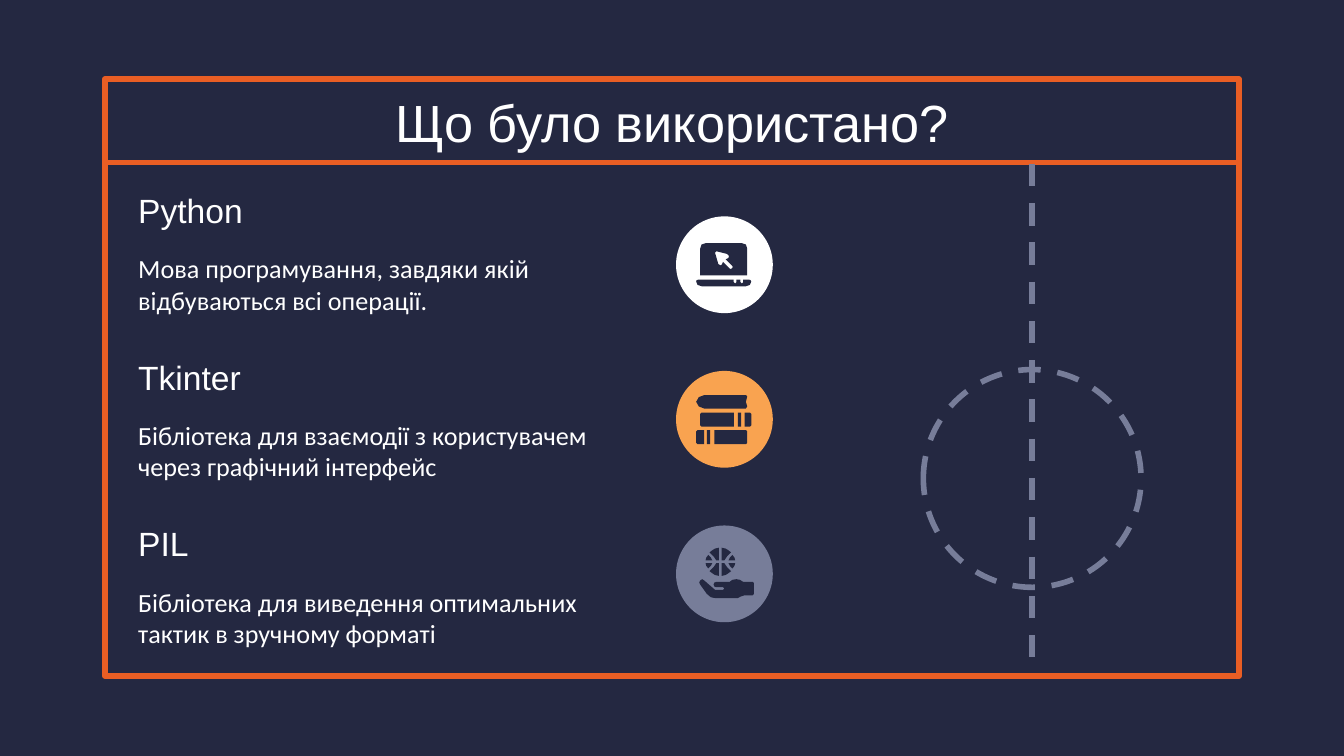
from itertools import product
from lxml.etree import SubElement
from pptx import Presentation
from pptx.dml.color import RGBColor
from pptx.enum.dml import MSO_LINE
from pptx.enum.shapes import MSO_CONNECTOR, MSO_SHAPE
from pptx.enum.text import MSO_ANCHOR, MSO_AUTO_SIZE, PP_ALIGN
from pptx.oxml.ns import qn
from pptx.util import Inches, Pt

NAVY = RGBColor(0x24, 0x28, 0x41)
ORANGE = RGBColor(0xE9, 0x5E, 0x24)
AMBER = RGBColor(0xF9, 0xA3, 0x50)
GREY = RGBColor(0x77, 0x7D, 0x99)
WHITE = RGBColor(0xFF, 0xFF, 0xFF)

FRAME = dict(vertical_anchor=MSO_ANCHOR.MIDDLE, word_wrap=True,
             auto_size=MSO_AUTO_SIZE.NONE)
INSET = {"margin_" + side: Inches(0.1)
         for side in ("left", "right", "top", "bottom")}
TITLE = dict(name="Arial", size=Pt(28), bold=False)
HEAD = dict(name="Arial", size=Pt(18))
BODY = dict(name="Calibri", size=Pt(14))

ITEMS = [
    ("Python", "Мова програмування, завдяки якій відбуваються всі операції.", WHITE),
    ("Tkinter", "Бібліотека для взаємодії з користувачем через графічний інтерфейс", AMBER),
    ("PIL", "Бібліотека для виведення оптимальних тактик в зручному форматі", GREY),
]

SCREEN = [(521, 205), (521, 185), (522, 182), (525, 181), (552, 181),
          (555, 182), (556, 185), (556, 205)]
CURSOR = [(533, 187), (541, 189), (542.5, 190.5), (542, 192), (540, 193),
          (545, 198), (545.3, 199), (544, 200.3), (543, 200), (538, 195),
          (537, 197), (536, 197.5), (534.5, 196.5), (532, 188)]
BASE = [(520, 208), (518.3, 208.5), (518, 209.5), (519, 212), (522, 213),
        (555, 213), (558, 212), (559, 209.5), (558.5, 208.5), (557, 208),
        (553, 208), (553, 210), (552, 211), (551, 210), (551, 208),
        (548, 208), (548, 210), (547, 211), (546, 210), (546, 208)]
SCROLL = [(524, 294), (520, 295.5), (518, 299), (520, 302.5), (524, 304),
          (555, 304), (556, 302.5), (555, 299), (556, 295), (555, 294)]
HAND = [(548, 431), (545, 431.5), (543, 433), (533, 433), (531.5, 433.6),
        (531, 435), (531.5, 436.4), (533, 437), (538, 437), (539, 438),
        (538, 439), (532, 439), (531, 438), (524, 432), (522.5, 431),
        (521, 432), (520.3, 433.5), (521, 435), (526, 442), (529, 444.5),
        (532, 445), (549, 445), (551, 444), (554, 443), (560, 443),
        (561, 442), (561, 434), (560, 433), (553, 433), (550.5, 431.5)]
CORE = [(1, -1), (1, -10.5), (4, -9.8), (6, -8.5), (8, -7), (5, -4), (3, -1)]
EDGE = [(6, -1), (7, -3), (9, -5), (10.5, -3), (11, -1)]
BARS = [(549, 551.5, 307), (554, 559, 307, 0, 1), (521, 546, 307, 1),
        (526, 528.5, 320), (531.5, 556, 320, 0, 1), (518, 524, 320, 1)]


def put(thing, values):
    for name, value in values.items():
        setattr(thing, name, value)


def write(item, text, font, align=PP_ALIGN.LEFT, after=0):
    frame = item.text_frame
    put(frame, FRAME | INSET)
    frame.text = text
    para = frame.paragraphs[0]
    put(para, dict(alignment=align, space_before=Pt(0), space_after=Pt(after)))
    put(para.runs[0].font, font)
    para.runs[0].font.color.rgb = WHITE


def label(slide, text, top, tall, font, after=0):
    box = [Inches(n) for n in (0.93, top, 3.66, tall)]
    write(slide.shapes.add_textbox(*box), text, font, after=after)


def stroke(item, color, dash=None):
    line = item.line
    line.color.rgb = color
    put(line, dict(width=Pt(3), dash_style=dash))
    SubElement(line._ln, qn("a:round"))


def paint(item, color):
    item.shadow.inherit = False
    item.fill.solid()
    item.fill.fore_color.rgb = color
    item.line.fill.background()
    return item


def shape(slide, kind, box):
    return slide.shapes.add_shape(kind, *[Inches(n) for n in box])


def ring(slide, kind, box, color, dash=None):
    item = shape(slide, kind, box)
    item.shadow.inherit = False
    item.fill.background()
    stroke(item, color, dash)
    return item


def rule(slide, start, end, color, dash=None):
    ends = [Inches(n) for n in (*start, *end)]
    line = slide.shapes.add_connector(MSO_CONNECTOR.STRAIGHT, *ends)
    stroke(line, color, dash)
    SubElement(line._element.spPr, qn("a:effectLst"))
    return line


def blot(slide, *loops):
    loops = [[(Inches(x / 100), Inches(y / 100)) for x, y in loop]
             for loop in loops]
    pen = slide.shapes.build_freeform(*loops[0][0])
    pen.add_line_segments(loops[0][1:])
    for loop in loops[1:]:
        pen.move_to(*loop[0])
        pen.add_line_segments(loop[1:])
    return paint(pen.convert_to_shape(), NAVY)


def bar(left, right, top, lcut=0, rcut=0):
    low = top + 10.5
    return [(left + lcut, top), (right - rcut, top), (right, top + rcut),
            (right, low - rcut), (right - rcut, low), (left + lcut, low),
            (left, low - lcut), (left, top + lcut)]


def books(slide):
    return [blot(slide, SCROLL)] + [blot(slide, bar(*book)) for book in BARS]


def laptop(slide):
    return [blot(slide, BASE), blot(slide, SCREEN, CURSOR)]


def court(slide):
    return [rule(slide, (7.68, 1.22), (7.68, 5.01), GREY, MSO_LINE.DASH),
            ring(slide, MSO_SHAPE.OVAL, (6.87, 2.75, 1.62, 1.62), GREY,
                 MSO_LINE.DASH)]


def ball(slide):
    parts = [blot(slide, [(536 + h * x, 418 + v * y) for x, y in part])
             for h, v, part in product((1, -1), (1, -1), (CORE, EDGE))]
    return parts + [blot(slide, HAND)]


def main():
    deck = Presentation()
    put(deck, dict(slide_width=Pt(720), slide_height=Pt(405)))
    slide = deck.slides.add_slide(deck.slide_layouts[5])
    slide.background.fill.solid()
    slide.background.fill.fore_color.rgb = NAVY

    ring(slide, MSO_SHAPE.RECTANGLE, (0.78, 0.59, 8.44, 4.44), ORANGE)
    rule(slide, (0.8, 1.21), (9.2, 1.21), ORANGE)
    title = slide.shapes.title
    put(title, dict(left=Inches(0.78), top=Inches(0.59),
                    width=Inches(8.44), height=Inches(0.63)))
    write(title, "Що було використано?", TITLE, PP_ALIGN.CENTER)

    for row, (head, body, color) in enumerate(ITEMS):
        top = 1.33 + 1.24 * row
        label(slide, body, top + 0.47, 0.63, BODY)
        label(slide, head, top, 0.47, HEAD, after=12)
        disc = (5.03, 1.61 + 1.15 * row, 0.72, 0.72)
        paint(shape(slide, MSO_SHAPE.OVAL, disc), color)
    for draw in (books, laptop, court, ball):
        slide.shapes.add_group_shape(draw(slide))
    deck.save("out.pptx")


main()
